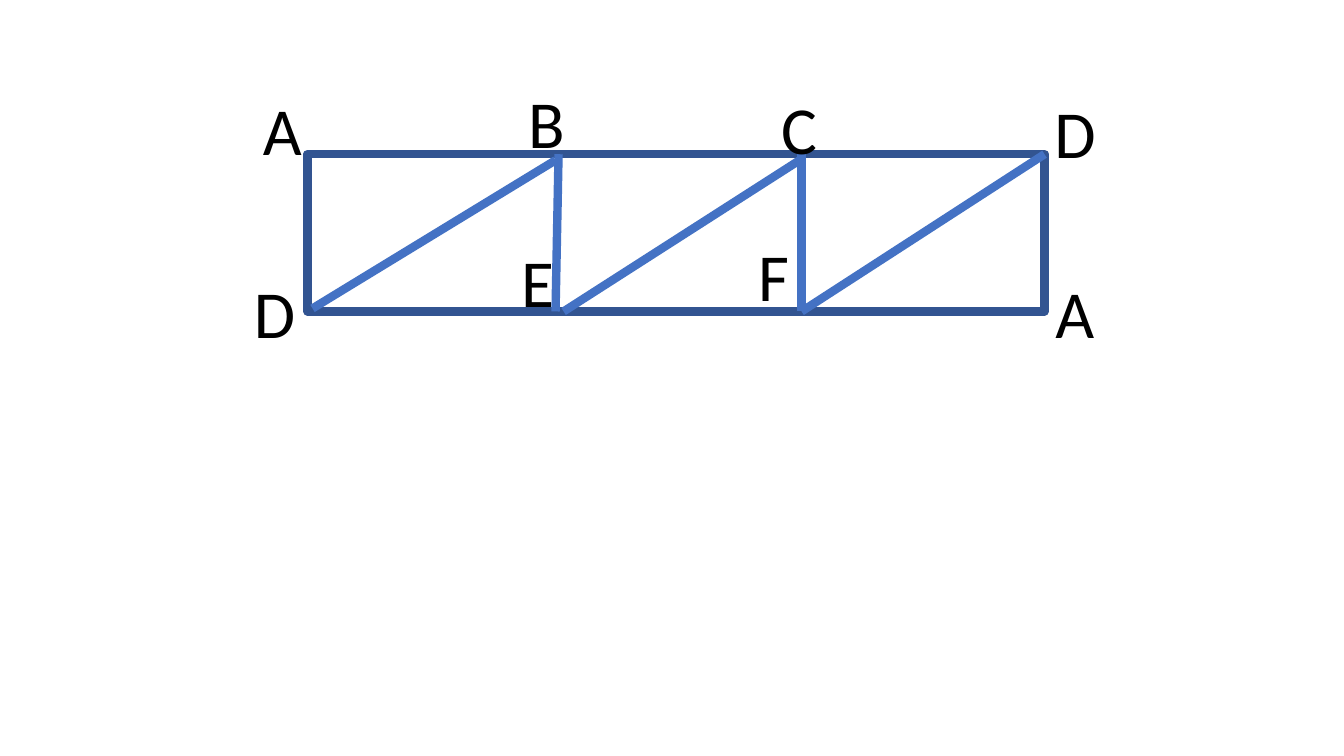
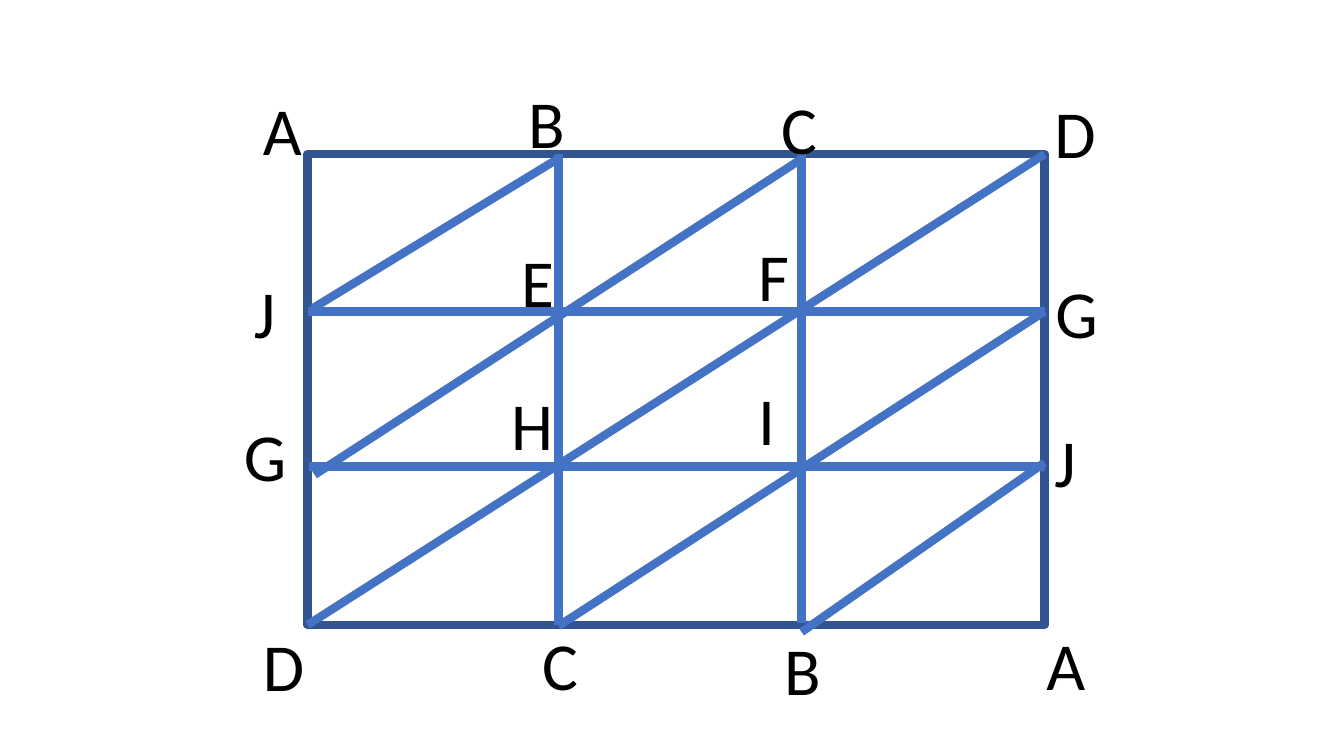
from lxml import etree
from pptx import Presentation
from pptx.dml.color import RGBColor
from pptx.enum.shapes import MSO_CONNECTOR, MSO_SHAPE
from pptx.enum.text import MSO_AUTO_SIZE
from pptx.oxml.ns import qn
from pptx.util import Inches, Pt

STRAIGHT = MSO_CONNECTOR.STRAIGHT
RECTANGLE = MSO_SHAPE.RECTANGLE
GROW = MSO_AUTO_SIZE.SHAPE_TO_FIT_TEXT

# Grid lines in inches, shared by both slides
COLUMNS = (3.05, 5.54, 7.95, 10.36)
ROWS = (1.53, 3.09, 4.63, 6.2)

# Box offset from each grid node, row by row
LABEL_OFFSETS = (
    ((-0.54, -0.7), (-0.4, -0.77), (-0.3, -0.71), (0, -0.67)),
    ((-0.63, -0.45), (-0.47, -0.76), (-0.53, -0.81), (0.01, -0.45)),
    ((-0.73, -0.57), (-0.57, -0.88), (-0.53, -0.93), (0, -0.51)),
    ((-0.54, -0.06), (-0.26, -0.07), (-0.27, -0.02), (-0.08, -0.07)),
)
LETTER_WIDTHS = {"A": 0.59, "B": 0.57, "C": 0.56, "D": 0.62, "E": 0.53,
                 "F": 0.51, "G": 0.63, "H": 0.62, "I": 0.37, "J": 0.42}
LABEL_HEIGHT = 0.91

# Each edge: start node, end node, start nudge, end nudge
NONE = (0, 0)
FIRST_DIAGONAL = ((1, 0), (0, 1), (-0.03, 0.06), (0.05, -0.03))
DIAGRAMS = (
    {"letters": ("ABCD", "DEFA"),
     "edges": (
         ((1, 0), (1, 1), NONE, (-0.03, 0)),
         ((2, 0), (2, 1), (0, -0.02), NONE),
         ((3, 0), (2, 1), NONE, NONE),
         ((2, 0), (1, 1), (-0.02, 0.06), (0.05, 0)),
         FIRST_DIAGONAL)},
    {"letters": ("ABCD", "JEFG", "GHIJ", "DCBA"),
     "edges": (
         ((1, 0), (1, 3), NONE, NONE),
         ((2, 0), (2, 3), (0, -0.02), (0, -0.02)),
         ((3, 1), (0, 1), NONE, NONE),
         ((3, 2), (0, 2), NONE, (0.01, 0)),
         ((3, 0), (0, 3), NONE, NONE),
         ((3, 1), (1, 3), NONE, (0, 0.01)),
         ((2, 0), (0, 2), (-0.02, 0.06), (0.07, 0.08)),
         ((3, 2), (2, 3), (0, -0.04), (0, 0.07)),
         FIRST_DIAGONAL)},
)
FRAME, EDGE, PAPER, INK = "325491", "4472C4", "FFFFFF", "000000"
FONT, LETTER_SIZE, STROKE = "Calibri", 48, 6


def color(value):
    """Turn a hex string into a colour."""
    return RGBColor.from_string(value)


def node_at(node, nudge=NONE):
    """Return the position of a (column, row) node, moved by a nudge."""
    column, row = node
    return Inches(COLUMNS[column] + nudge[0]), Inches(ROWS[row] + nudge[1])


def set_stroke(line, value):
    """Give a line the common width and a colour."""
    line.color.rgb = color(value)
    line.width = Pt(STROKE)


def add_frame(page, last_row):
    """Draw the outer rectangle down to the last row."""
    left, top = node_at((0, 0))
    right, bottom = node_at((len(COLUMNS) - 1, last_row))
    frame = page.shapes.add_shape(RECTANGLE, left, top, right - left, bottom - top)
    frame.shadow.inherit = False
    frame.fill.solid()
    frame.fill.fore_color.rgb = color(PAPER)
    set_stroke(frame.line, FRAME)


def add_edge(page, start, end, start_nudge, end_nudge):
    """Draw one straight edge between two nodes."""
    edge = page.shapes.add_connector(
        STRAIGHT, *node_at(start, start_nudge), *node_at(end, end_nudge))
    set_stroke(edge.line, EDGE)
    etree.SubElement(edge._element.spPr, qn("a:effectLst"))


def add_text(page, text, left, top, width, height, *, size, font, ink):
    """Add an unwrapped text box that fits its text."""
    box = page.shapes.add_textbox(left, top, width, height)
    box.text_frame.word_wrap = False
    box.text_frame.auto_size = GROW
    span = box.text_frame.paragraphs[0].add_run()
    span.text = text
    span.font.size = Pt(size)
    span.font.name = font
    span.font.color.rgb = color(ink)


def add_diagram(deck, letters, edges):
    """Add a slide with a frame, its edges and its node letters."""
    page = deck.slides.add_slide(deck.slide_layouts[6])
    add_frame(page, len(letters) - 1)
    for edge in edges:
        add_edge(page, *edge)
    for row, names in enumerate(letters):
        for column, name in enumerate(names):
            left, top = node_at((column, row), LABEL_OFFSETS[row][column])
            add_text(page, name, left, top, Inches(LETTER_WIDTHS[name]),
                     Inches(LABEL_HEIGHT), size=LETTER_SIZE, font=FONT, ink=INK)


deck = Presentation()
deck.slide_width, deck.slide_height = Inches(13.33), Inches(7.5)
for diagram in DIAGRAMS:
    add_diagram(deck, **diagram)
deck.save("out.pptx")
